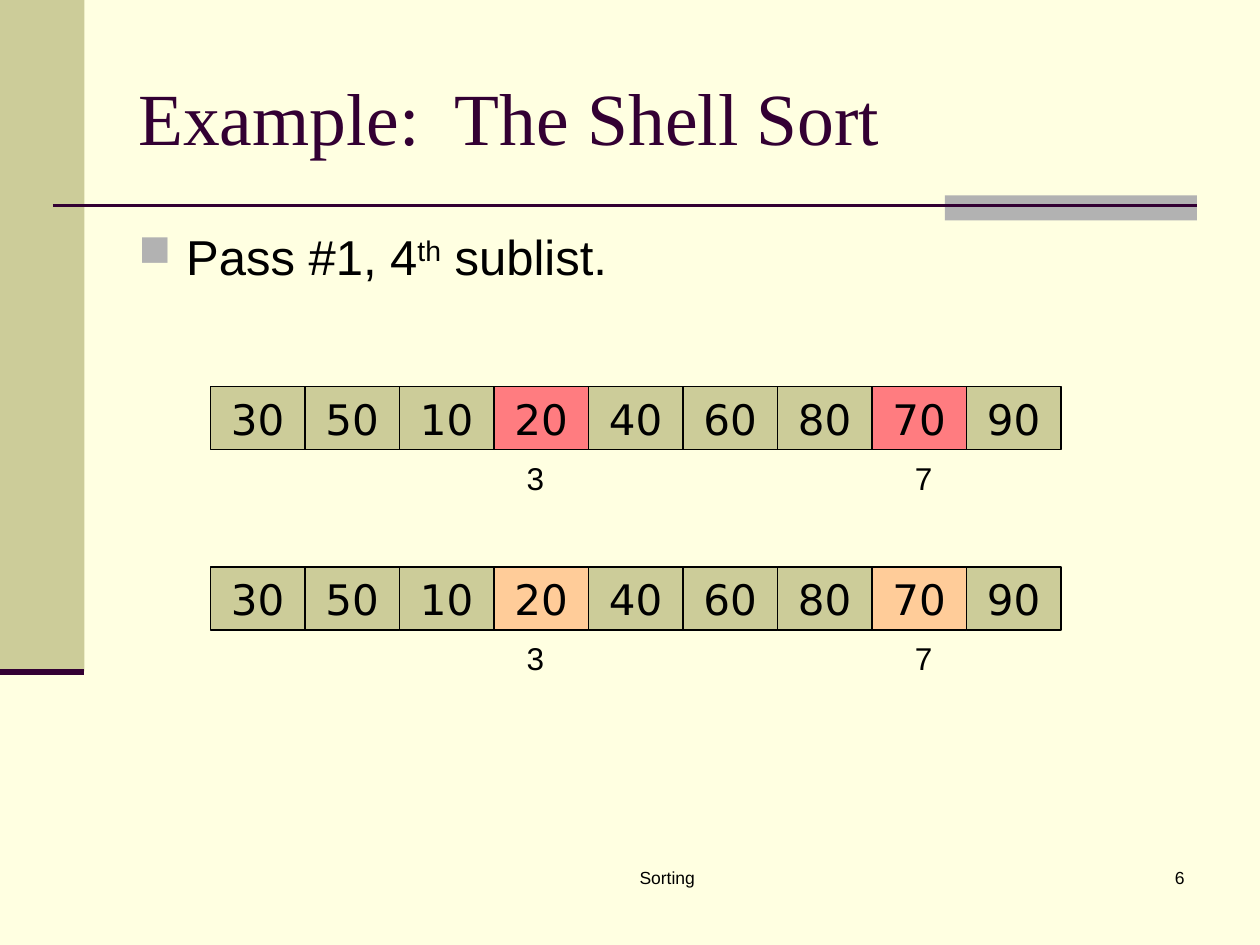
import pptx
import pptx.util
import pptx.dml.color
import pptx.enum.shapes
import pptx.enum.text
import lxml.etree
from pptx.oxml.ns import qn

Inches, Pt = pptx.util.Inches, pptx.util.Pt
ALIGN, ANCHOR = pptx.enum.text.PP_ALIGN, pptx.enum.text.MSO_ANCHOR

# Content
TITLE = "Example:  The Shell Sort"
PASS_RUNS = [("Pass #1, 4", False), ("th", True), (" sublist.", False)]
VALUES = [30, 50, 10, 20, 40, 60, 80, 70, 90]
SUBLIST = [3, 7]
LISTS = [(3.07, "FF7C80"), (4.5, "FFCC99")]  # top, sublist colour
INDEX_CENTERS = {3: 4.25, 7: 7.33}
FOOTER, PAGE = "Sorting", "6"

# Look
CREAM, KHAKI, GRAY, PLUM, BLACK = "FFFFE1", "CCCC99", "B2B2B2", "330033", "000000"
CELL_LEFT, CELL_WIDTH, CELL_HEIGHT = 1.67, 0.75, 0.5
INDEX_WIDTH, INDEX_HEIGHT = 0.34, 0.4


def color(hex_code):
    return pptx.dml.color.RGBColor.from_string(hex_code)


def style(paragraph, size, font, hex_code=BLACK, align=ALIGN.LEFT):
    paragraph.alignment = align
    paragraph.font.size = Pt(size)
    paragraph.font.name = font
    paragraph.font.color.rgb = color(hex_code)


def add_rect(slide, left, top, width, height, fill):
    rect = slide.shapes.add_shape(
        pptx.enum.shapes.MSO_SHAPE.RECTANGLE,
        Inches(left), Inches(top), Inches(width), Inches(height))
    rect.shadow.inherit = False
    rect.fill.solid()
    rect.fill.fore_color.rgb = color(fill)
    rect.line.fill.background()
    return rect


def add_rule(slide, left, right, y, weight):
    rule = slide.shapes.add_connector(
        pptx.enum.shapes.MSO_CONNECTOR.STRAIGHT,
        Inches(left), Inches(y), Inches(right), Inches(y))
    rule.line.color.rgb = color(PLUM)
    rule.line.width = Pt(weight)
    lxml.etree.SubElement(rule._element.spPr, qn("a:effectLst"))


def add_text(slide, left, top, width, height, text, size, font="Arial",
             hex_code=BLACK, align=ALIGN.LEFT, anchor=ANCHOR.TOP, wrap=True):
    box = slide.shapes.add_textbox(
        Inches(left), Inches(top), Inches(width), Inches(height))
    frame = box.text_frame
    frame.word_wrap = wrap
    frame.vertical_anchor = anchor
    frame.text = text
    style(frame.paragraphs[0], size, font, hex_code, align)
    return frame.paragraphs[0]


def add_bullet(paragraph):
    props = paragraph._p.get_or_add_pPr()
    props.set("marL", str(Inches(0.38)))
    props.set("indent", str(-Inches(0.38)))
    bullet_color = lxml.etree.Element(qn("a:buClr"))
    lxml.etree.SubElement(bullet_color, qn("a:srgbClr"), val=GRAY)
    bullet_parts = [
        bullet_color,
        lxml.etree.Element(qn("a:buSzPct"), val="90000"),
        lxml.etree.Element(qn("a:buChar"), char="■"),
    ]
    defaults = props.find(qn("a:defRPr"))
    for part in bullet_parts:
        defaults.addprevious(part)


def add_list(slide, top, highlight):
    for index, value in enumerate(VALUES):
        fill = highlight if index in SUBLIST else KHAKI
        cell = add_rect(slide, CELL_LEFT + index * CELL_WIDTH, top,
                        CELL_WIDTH, CELL_HEIGHT, fill)
        cell.line.color.rgb = color(BLACK)
        cell.line.width = Pt(0.75)
        cell.text_frame.text = str(value)
        style(cell.text_frame.paragraphs[0], 24, "DejaVu Sans", align=ALIGN.CENTER)
    for index in SUBLIST:
        add_text(slide, INDEX_CENTERS[index] - INDEX_WIDTH / 2,
                 top + CELL_HEIGHT + 0.02, INDEX_WIDTH, INDEX_HEIGHT,
                 str(index), 18, align=ALIGN.CENTER, wrap=False)


def main():
    deck = pptx.Presentation()
    deck.slide_width, deck.slide_height = Inches(10), Inches(7.5)
    slide = deck.slides.add_slide(deck.slide_layouts[6])
    slide.background.fill.solid()
    slide.background.fill.fore_color.rgb = color(CREAM)

    # Side band and rules
    add_rect(slide, 0, 0, 0.67, 5.33, KHAKI)
    add_rect(slide, 7.5, 1.55, 2, 0.2, GRAY)
    add_rule(slide, 0.42, 9.5, 1.63, 1.5)
    add_rule(slide, 0, 0.67, 5.33, 3.5)

    # Footer
    add_text(slide, 3.67, 6.83, 3.25, 0.5, FOOTER, 10, align=ALIGN.CENTER)
    add_text(slide, 7.42, 6.83, 2.08, 0.5, PAGE, 10, align=ALIGN.RIGHT)

    # Title and bullet
    add_text(slide, 1, 0.3, 8.5, 1.25, TITLE, 42, "Times New Roman", PLUM,
             anchor=ANCHOR.MIDDLE)
    pass_line = add_text(slide, 1, 1.75, 8.5, 4.95, "", 28)
    pass_line.space_before = Pt(7)
    add_bullet(pass_line)
    for text, raised in PASS_RUNS:
        run = pass_line.add_run()
        run.text = text
        if raised:
            run.font._element.set("baseline", "30000")

    # Lists with the sublist marked
    for top, highlight in LISTS:
        add_list(slide, top, highlight)

    deck.save("out.pptx")


if __name__ == "__main__":
    main()
